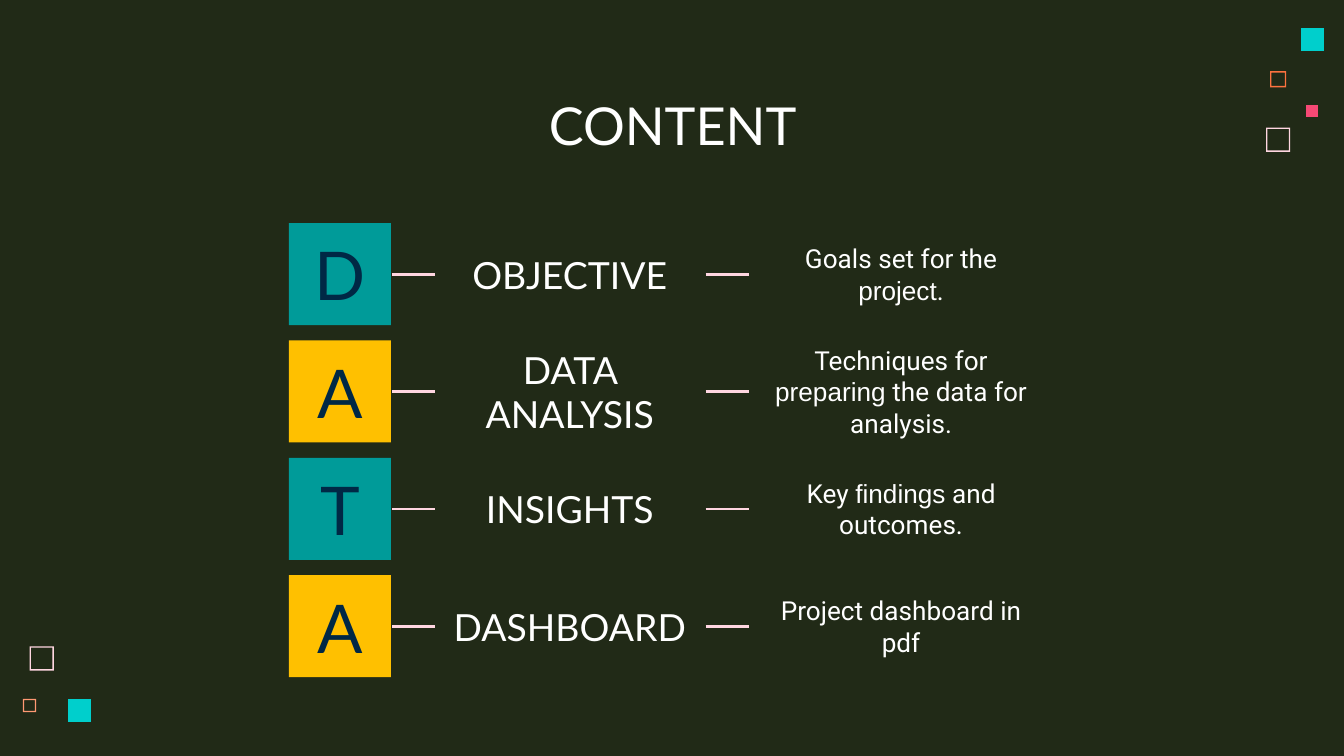
from typing import NamedTuple

from lxml import etree
from pptx import Presentation
from pptx.dml.color import RGBColor
from pptx.enum.shapes import MSO_CONNECTOR, MSO_SHAPE
from pptx.enum.text import MSO_ANCHOR, MSO_AUTO_SIZE, PP_ALIGN
from pptx.oxml.ns import qn
from pptx.util import Inches, Pt

RECT = MSO_SHAPE.RECTANGLE
STRAIGHT = MSO_CONNECTOR.STRAIGHT
TOP, MIDDLE = MSO_ANCHOR.TOP, MSO_ANCHOR.MIDDLE
CENTER = PP_ALIGN.CENTER
NO_FIT = MSO_AUTO_SIZE.NONE

BACKGROUND = RGBColor(0x21, 0x2A, 0x17)
WHITE = RGBColor(0xFF, 0xFF, 0xFF)
NAVY = RGBColor(0x00, 0x28, 0x45)
TEAL = RGBColor(0x00, 0x9B, 0x99)
AMBER = RGBColor(0xFF, 0xC0, 0x00)
CYAN = RGBColor(0x00, 0xCF, 0xCC)
PINK = RGBColor(0xFF, 0xD6, 0xE1)
ROSE = RGBColor(0xF6, 0x49, 0x75)
ORANGE = RGBColor(0xFC, 0x72, 0x3F)
PEACH = RGBColor(0xFF, 0x99, 0x73)

HEADING, BODY, ACCENT = "Lato", "Roboto", "Arial"

# Grid in inches: columns as (left, width), rows by their centre line
TILE_COL, NAME_COL, NOTE_COL = (2.15, 0.76), (3.24, 2.0), (5.57, 2.27)
LINK_STARTS, LINK_LENGTH = (2.92, 5.25), 0.32
FIRST_ROW, ROW_PITCH = 2.04, 2.62 / 3
TILE_HEIGHT, TEXT_HEIGHT = 0.76, 0.53


class TextRun(NamedTuple):
    text: str
    font: str
    size: int
    color: RGBColor = WHITE


class Topic(NamedTuple):
    letter: str
    fill: RGBColor
    name: str
    note: tuple[tuple[str, str], ...]


class Square(NamedTuple):
    left: float
    top: float
    size: float
    color: RGBColor
    border: float = 0  # 0 means solid


TOPICS = (
    Topic("D", TEAL, "OBJECTIVE",
          (("Goals set for the ", BODY), ("project", ACCENT), (".", BODY))),
    Topic("A", AMBER, "DATA ANALYSIS",
          (("Techniques for ", BODY), ("preparing", ACCENT),
           (" the data for analysis.", BODY))),
    Topic("T", TEAL, "INSIGHTS",
          (("Key ", BODY), ("findings", ACCENT), (" and outcomes.", BODY))),
    Topic("A", AMBER, "DASHBOARD", (("Project dashboard in pdf", BODY),)),
)

SQUARES = (
    Square(9.42, 0.95, 0.18, PINK, 0.01),
    Square(9.45, 0.53, 0.12, ORANGE, 0.01),
    Square(9.68, 0.21, 0.17, CYAN),
    Square(0.17, 5.2, 0.1, PEACH, 0.01),
    Square(9.72, 0.78, 0.09, ROSE),
    Square(0.22, 4.81, 0.18, PINK, 0.01),
    Square(0.51, 5.2, 0.17, CYAN),
)


def write(sp, runs: list[TextRun], anchor=MIDDLE) -> None:
    tf = sp.text_frame
    tf.word_wrap = True
    tf.auto_size = NO_FIT
    tf.vertical_anchor = anchor
    tf.margin_left = tf.margin_right = Inches(0.1)
    tf.margin_top = tf.margin_bottom = Inches(0.1)
    p = tf.paragraphs[0]
    p.alignment = CENTER
    for run in runs:
        r = p.add_run()
        r.text = run.text
        r.font.name = run.font
        r.font.size = Pt(run.size)
        r.font.color.rgb = run.color


def paint(sp, color: RGBColor) -> None:
    sp.shadow.inherit = False
    sp.fill.solid()
    sp.fill.fore_color.rgb = color
    sp.line.fill.background()


def cell(column: tuple[float, float], center: float, height: float) -> list[int]:
    left, width = column
    return [Inches(v) for v in (left, center - height / 2, width, height)]


def draw_square(shapes, square: Square) -> None:
    near_x, near_y = Inches(square.left), Inches(square.top)
    far_x, far_y = near_x + Inches(square.size), near_y + Inches(square.size)
    builder = shapes.build_freeform(near_x, near_y)
    builder.add_line_segments([(near_x, far_y), (far_x, far_y), (far_x, near_y)])
    if square.border:
        b = Inches(square.border)
        builder.move_to(far_x - b, near_y + b)
        builder.add_line_segments([(far_x - b, far_y - b), (near_x + b, far_y - b),
                                   (near_x + b, near_y + b)])
    paint(builder.convert_to_shape(), square.color)


def draw_topic(shapes, topic: Topic, center: float) -> None:
    group = shapes.add_group_shape().shapes
    tile = group.add_shape(RECT, *cell(TILE_COL, center, TILE_HEIGHT))
    paint(tile, topic.fill)
    write(tile, [TextRun(topic.letter, HEADING, 36, NAVY)])
    name = group.add_textbox(*cell(NAME_COL, center, TEXT_HEIGHT))
    write(name, [TextRun(topic.name, HEADING, 20)])
    note = group.add_textbox(*cell(NOTE_COL, center, TEXT_HEIGHT))
    write(note, [TextRun(text, font, 14) for text, font in topic.note])


def draw_link(shapes, left: float, center: float) -> None:
    y = Inches(center)
    link = shapes.add_connector(STRAIGHT, Inches(left), y,
                                Inches(left + LINK_LENGTH), y)
    link.line.color.rgb = PINK
    link.line.width = Pt(1.5)
    etree.SubElement(link._element.spPr, qn("a:effectLst"))


def main() -> None:
    prs = Presentation()
    prs.slide_width = Inches(10)
    prs.slide_height = prs.slide_width * 9 // 16
    s = prs.slides.add_slide(prs.slide_layouts[5])
    s.background.fill.solid()
    s.background.fill.fore_color.rgb = BACKGROUND

    # Corner decoration
    for square in SQUARES:
        draw_square(s.shapes, square)

    # Title
    title = s.shapes.title
    title.left, title.top = Inches(0.79), Inches(0.59)
    title.width, title.height = Inches(8.43), Inches(0.63)
    write(title, [TextRun("CONTENT", HEADING, 28)], TOP)

    # Topic rows, then the links between their columns
    centers = [FIRST_ROW + i * ROW_PITCH for i in range(len(TOPICS))]
    for topic, center in zip(TOPICS, centers):
        draw_topic(s.shapes, topic, center)
    for left in LINK_STARTS:
        for center in centers:
            draw_link(s.shapes, left, center)

    prs.save("out.pptx")


if __name__ == "__main__":
    main()
